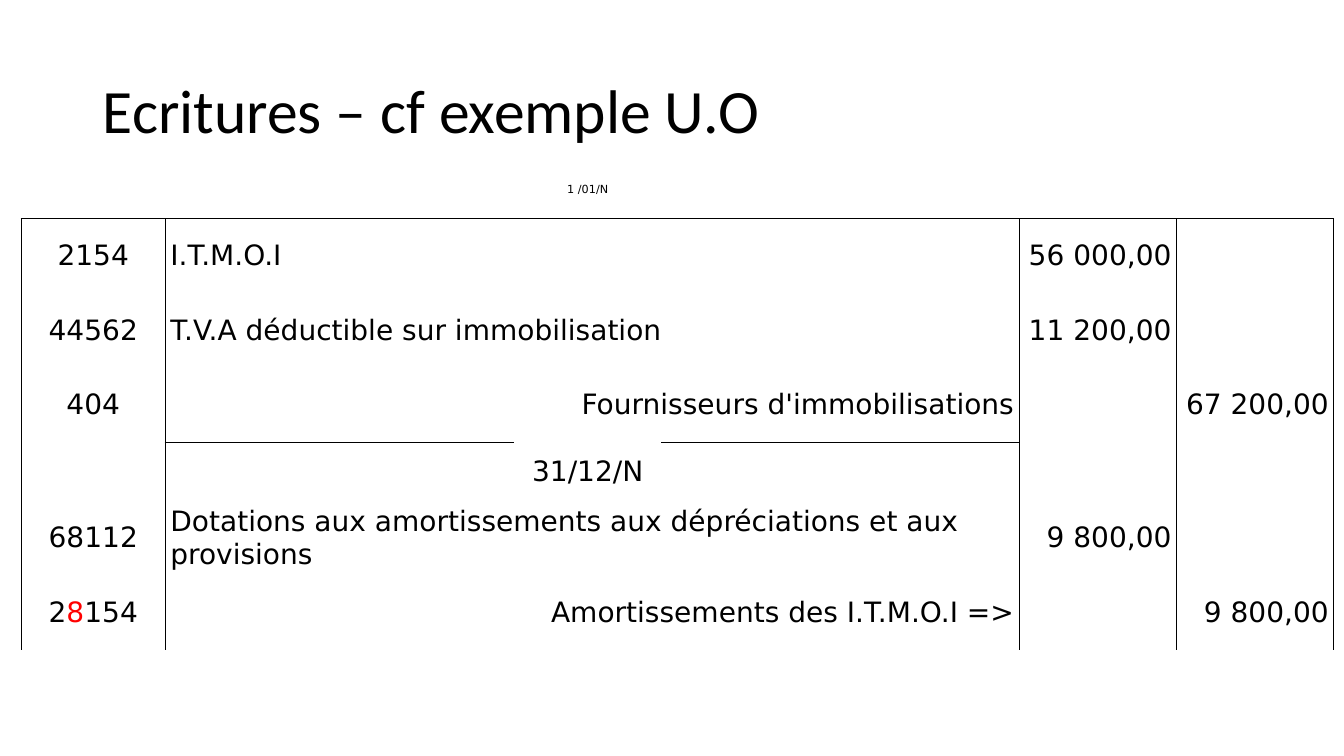
from lxml import etree
from pptx import Presentation
from pptx.dml.color import RGBColor
from pptx.enum.text import MSO_ANCHOR, MSO_AUTO_SIZE, PP_ALIGN
from pptx.oxml.ns import qn
from pptx.util import Inches, Pt

COLORS = {"text": "000000", "rule": "000000", "accent": "FF0000"}
TITLE_FONT, TABLE_FONT = "Calibri", "DejaVu Sans"
LEFT, CENTER, RIGHT = PP_ALIGN.LEFT, PP_ALIGN.CENTER, PP_ALIGN.RIGHT

COLUMN_WIDTHS = [1.43, 3.46, 1.46, 3.55, 1.56, 1.56]
ACCOUNT, LABEL, DATE, LABEL_END, DEBIT, CREDIT = range(6)
DATE_HEIGHT, ENTRY_HEIGHT = 0.58, 0.74

# A date row is (date, size); an entry row is (account runs, label, debit, credit).
JOURNAL = [
    ("1 /01/N", 8),
    (["2154"], "I.T.M.O.I", "56 000,00", ""),
    (["44562"], "T.V.A déductible sur immobilisation", "11 200,00", ""),
    (["404"], "Fournisseurs d'immobilisations", "", "67 200,00"),
    ("31/12/N", 20),
    (["68112"], "Dotations aux amortissements aux dépréciations et aux provisions",
     "9 800,00", ""),
    (["2", "8", "154"], "Amortissements des I.T.M.O.I =>", "", "9 800,00"),
]
FIRST_ENTRY = 1
SECOND_DATE = 4


def style_run(run, font, size, color="text"):
    run.font.name = font
    run.font.size = Pt(size)
    run.font.color.rgb = RGBColor.from_string(COLORS[color])


def add_title(slide, left, top, width, height):
    title = slide.shapes.title
    title.left, title.top = Inches(left), Inches(top)
    title.width, title.height = Inches(width), Inches(height)
    frame = title.text_frame
    frame.text = "Ecritures – cf exemple U.O"
    frame.auto_size = MSO_AUTO_SIZE.NONE
    frame.vertical_anchor = MSO_ANCHOR.MIDDLE
    paragraph = frame.paragraphs[0]
    paragraph.alignment = LEFT
    paragraph.line_spacing = 0.9
    style_run(paragraph.runs[0], TITLE_FONT, 44)


def write_cell(cell, parts, alignment, size=20):
    """Write the parts as runs; the second part, if any, is accented."""
    paragraph = cell.text_frame.paragraphs[0]
    paragraph.alignment = alignment
    for index, part in enumerate(parts):
        run = paragraph.add_run()
        run.text = part
        style_run(run, TABLE_FONT, size, "accent" if index == 1 else "text")


def ruled_sides(row, column):
    """Return the sides (L, R, T, B) of a cell that carry a rule."""
    sides = set()
    is_date = len(JOURNAL[row]) == 2
    if row >= FIRST_ENTRY:
        if column not in (DATE, LABEL_END):
            sides.add("L")
        if column not in (LABEL, DATE):
            sides.add("R")
        if column == LABEL and not is_date:
            sides.add("R")
    if row == FIRST_ENTRY:
        sides.add("T")
    if row == FIRST_ENTRY - 1 and column != DATE:
        sides.add("B")
    if column in (LABEL, LABEL_END):
        if row == SECOND_DATE:
            sides.add("T")
        if row == SECOND_DATE - 1:
            sides.add("B")
    return sides


def set_borders(cell, sides):
    properties = cell._tc.get_or_add_tcPr()
    for index, side in enumerate("LRTB"):
        line = etree.Element(qn(f"a:ln{side}"), w=str(Pt(1)))
        if side in sides:
            fill = etree.SubElement(line, qn("a:solidFill"))
            etree.SubElement(fill, qn("a:srgbClr"), val=COLORS["rule"])
        else:
            etree.SubElement(line, qn("a:noFill"))
        properties.insert(index, line)


def add_journal(slide, left, top):
    heights = [DATE_HEIGHT if len(line) == 2 else ENTRY_HEIGHT for line in JOURNAL]
    table = slide.shapes.add_table(
        len(JOURNAL), len(COLUMN_WIDTHS), Inches(left), Inches(top),
        Inches(sum(COLUMN_WIDTHS)), Inches(sum(heights))).table
    table.first_row = table.horz_banding = False
    for column, width in zip(table.columns, COLUMN_WIDTHS):
        column.width = Inches(width)

    for row, (line, height) in enumerate(zip(JOURNAL, heights)):
        table.rows[row].height = Inches(height)
        for column in range(len(COLUMN_WIDTHS)):
            cell = table.cell(row, column)
            cell.margin_left = cell.margin_right = Inches(0.05)
            cell.margin_top = cell.margin_bottom = 0
            cell.vertical_anchor = MSO_ANCHOR.MIDDLE
            cell.fill.background()
            set_borders(cell, ruled_sides(row, column))
        if len(line) == 2:
            date, size = line
            write_cell(table.cell(row, DATE), [date], CENTER, size)
            continue
        account, label, debit, credit = line
        table.cell(row, LABEL).merge(table.cell(row, LABEL_END))
        write_cell(table.cell(row, ACCOUNT), account, CENTER)
        write_cell(table.cell(row, LABEL), [label], RIGHT if credit else LEFT)
        for column, amount in ((DEBIT, debit), (CREDIT, credit)):
            if amount:
                write_cell(table.cell(row, column), [amount], RIGHT)


def main():
    presentation = Presentation()
    presentation.slide_width = Inches(13.33)
    presentation.slide_height = Inches(7.5)
    slide = presentation.slides.add_slide(presentation.slide_layouts[5])
    add_title(slide, 0.92, 0.4, 11.5, 1.45)
    add_journal(slide, 0.21, 1.59)
    presentation.save("out.pptx")


if __name__ == "__main__":
    main()
